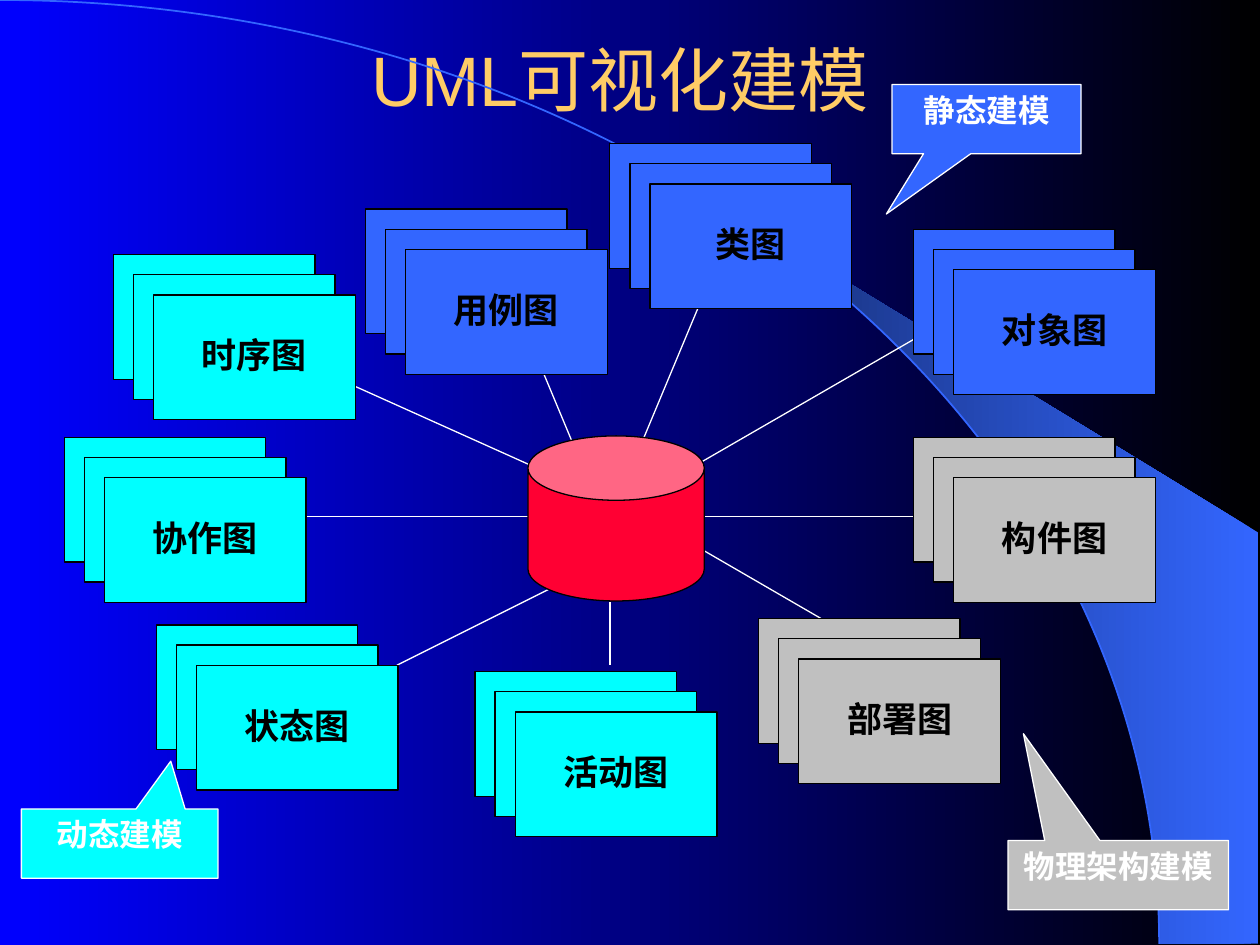
import math

import pptx
import pptx.dml.color
import pptx.enum.shapes
import pptx.enum.text
import pptx.oxml
import pptx.util

Inches = pptx.util.Inches
Pt = pptx.util.Pt
SHAPE = pptx.enum.shapes.MSO_SHAPE
ANCHOR = pptx.enum.text.MSO_ANCHOR
CENTER = pptx.enum.text.PP_ALIGN.CENTER

STATIC, DYNAMIC, PHYSICAL = "3366FF", "00FFFF", "C0C0C0"
BLACK, WHITE = "000000", "FFFFFF"
CARD_W, CARD_H, CARD_STEP = 1.6, 0.99, 0.16
ARC_W, ARC_H = 9.2, 7.49

# label, left and top of the front card, colour
DIAGRAMS = [
    ("用例图", 3.22, 1.98, STATIC),
    ("类图", 5.16, 1.46, STATIC),
    ("对象图", 7.57, 2.14, STATIC),
    ("时序图", 1.22, 2.34, DYNAMIC),
    ("协作图", 0.83, 3.79, DYNAMIC),
    ("状态图", 1.56, 5.28, DYNAMIC),
    ("活动图", 4.09, 5.65, DYNAMIC),
    ("构件图", 7.57, 3.79, PHYSICAL),
    ("部署图", 6.34, 5.23, PHYSICAL),
]
# start x, start y, end x, end y, width in points
SPOKES = [
    (5.18, 3.89, 7.57, 2.51, 0.75),
    (5.34, 4.1, 7.57, 4.1, 0.75),
    (2.27, 2.82, 4.65, 3.89, 0.75),
    (3.15, 5.28, 4.41, 4.65, 0.75),
    (4.05, 2.33, 4.63, 3.72, 0.75),
    (2.26, 4.1, 4.49, 4.1, 0.75),
    (5.6, 2.3, 5.02, 3.69, 0.75),
    (6.88, 5.12, 5.12, 4.1, 0.75),
    (4.84, 4.78, 4.84, 5.28, 1),
]
# label, box, pointer offset from the centre as a share of the box, colour
CALLOUTS = [
    ("静态建模", (7.08, 0.67, 1.5, 0.55), (-0.53, 1.37), STATIC),
    ("动态建模", (0.17, 6.42, 1.56, 0.55), (0.26, -1.19), DYNAMIC),
    ("物理架构建模", (8, 6.67, 1.75, 0.55), (-0.43, -2.04), PHYSICAL),
]


def rgb(color):
    return pptx.dml.color.RGBColor.from_string(color)


def fill_gradient(fill, right, left):
    fill.gradient()
    fill.gradient_angle = 180
    for stop, color, position in zip(fill.gradient_stops, (right, left), (0, 1)):
        stop.color.rgb = rgb(color)
        stop.position = position


def add_block(slide, preset, box, color, outline):
    block = slide.shapes.add_shape(preset, *map(Inches, box))
    block.shadow.inherit = False
    block.fill.solid()
    block.fill.fore_color.rgb = rgb(color)
    block.line.color.rgb = rgb(outline)
    block.line.width = Pt(0.75)
    return block


def write_label(frame, text, font_name, size, color, bold, anchor):
    frame.text = text
    frame.vertical_anchor = anchor
    paragraph = frame.paragraphs[0]
    paragraph.alignment = CENTER
    paragraph.font.name = font_name
    paragraph.font.size = Pt(size)
    paragraph.font.bold = bold
    paragraph.font.color.rgb = rgb(color)
    return paragraph


def add_backdrop(slide):
    """Gradient background, the band of light and the arc along its edge."""
    fill_gradient(slide.background.fill, BLACK, "0000FF")

    band_left, band_top = 5.89, 1.73
    start = math.asin(band_left / ARC_W)
    steps = 30
    angles = [start + (math.pi / 2 - start) * i / steps for i in range(steps + 1)]
    edge = [(ARC_W * math.sin(a), ARC_H * (1 - math.cos(a))) for a in angles]
    points = edge + [(9.99, ARC_H), (9.99, 4.23)]
    builder = slide.shapes.build_freeform(
        Inches(band_left), Inches(band_top), scale=1.0)
    builder.add_line_segments([(Inches(x), Inches(y)) for x, y in points])
    band = builder.convert_to_shape()
    band.shadow.inherit = False
    fill_gradient(band.fill, "3366FF", "172F75")
    band.line.fill.background()

    arc = slide.shapes.add_shape(
        SHAPE.ARC, Inches(-ARC_W), 0, Inches(2 * ARC_W), Inches(2 * ARC_H))
    arc.shadow.inherit = False
    arc.fill.background()
    arc.line.color.rgb = rgb("3366FF")
    arc.line.width = Pt(1)


def add_title(slide, box):
    title = slide.shapes.title
    title.left, title.top, title.width, title.height = map(Inches, box)
    write_label(title.text_frame, "UML可视化建模", "Arial", 40, "FFCC66",
                False, ANCHOR.MIDDLE)


def add_spoke(slide, x1, y1, x2, y2, width):
    spoke = slide.shapes.add_connector(
        pptx.enum.shapes.MSO_CONNECTOR.STRAIGHT, *map(Inches, (x1, y1, x2, y2)))
    spoke.line.color.rgb = rgb(WHITE)
    spoke.line.width = Pt(width)
    properties = spoke.element.spPr
    properties.append(pptx.oxml.parse_xml(
        '<a:effectLst xmlns:a="http://schemas.openxmlformats.org/drawingml/2006/main"/>'))


def add_repository(slide, box):
    repository = add_block(slide, SHAPE.CAN, box, "FF0033", BLACK)
    repository.adjustments[0] = 0.39


def add_card_stack(slide, label, left, top, color):
    """Three cards stepping down to the right, the front one labelled."""
    for depth in (2, 1, 0):
        shift = depth * CARD_STEP
        box = (left - shift, top - shift, CARD_W, CARD_H)
        card = add_block(slide, SHAPE.RECTANGLE, box, color, BLACK)
    card.text_frame.word_wrap = False
    paragraph = write_label(card.text_frame, label, "Arial Narrow", 20, BLACK,
                            True, ANCHOR.MIDDLE)
    paragraph.line_spacing = 0.9


def add_callout(slide, label, box, pointer, color):
    callout = add_block(slide, SHAPE.RECTANGULAR_CALLOUT, box, color, WHITE)
    callout.adjustments[0], callout.adjustments[1] = pointer
    callout.text_frame.word_wrap = True
    write_label(callout.text_frame, label, "Arial", 18, WHITE, True, ANCHOR.TOP)


def main():
    deck = pptx.Presentation()
    deck.slide_width, deck.slide_height = Inches(10), Inches(7.5)
    slide = deck.slides.add_slide(deck.slide_layouts[5])
    add_backdrop(slide)
    add_title(slide, (0.67, 0.33, 8.5, 0.58))
    for spoke in SPOKES:
        add_spoke(slide, *spoke)
    add_repository(slide, (4.19, 3.46, 1.4, 1.31))
    for diagram in DIAGRAMS:
        add_card_stack(slide, *diagram)
    for callout in CALLOUTS:
        add_callout(slide, *callout)
    deck.save("out.pptx")


if __name__ == "__main__":
    main()
